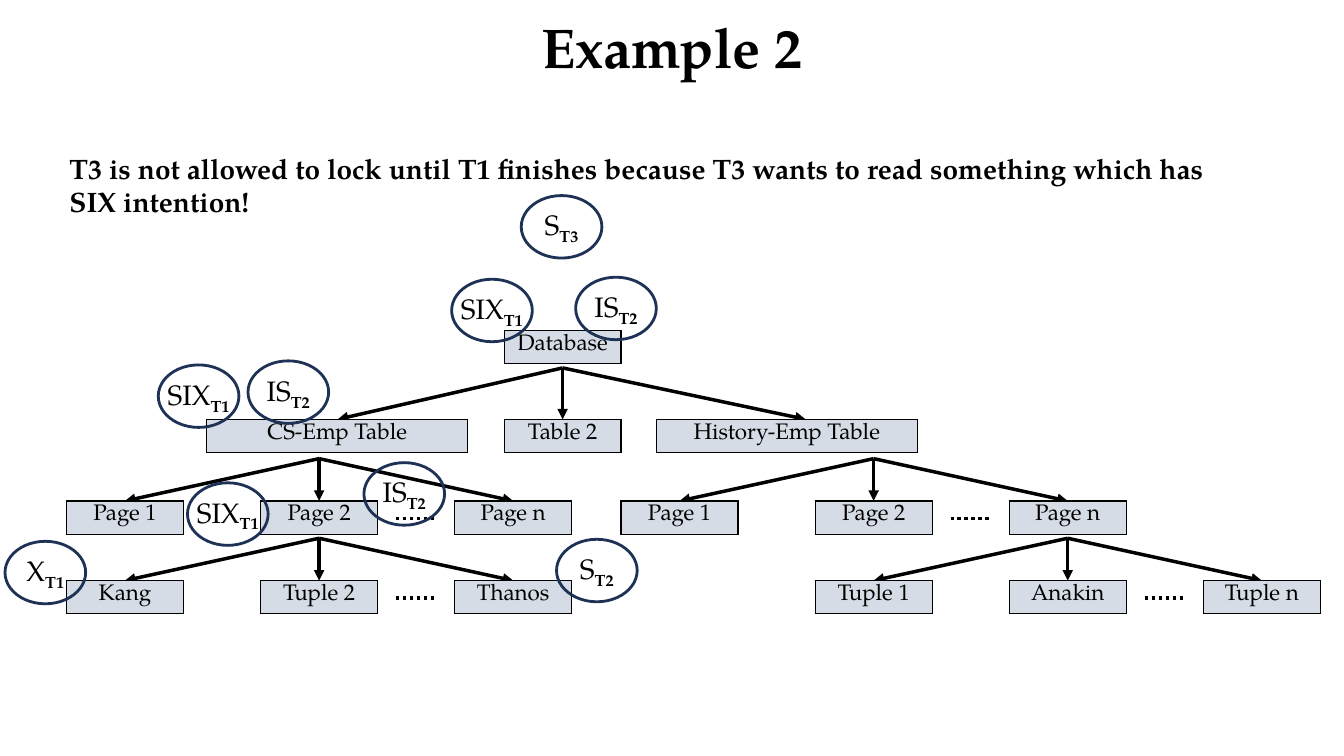
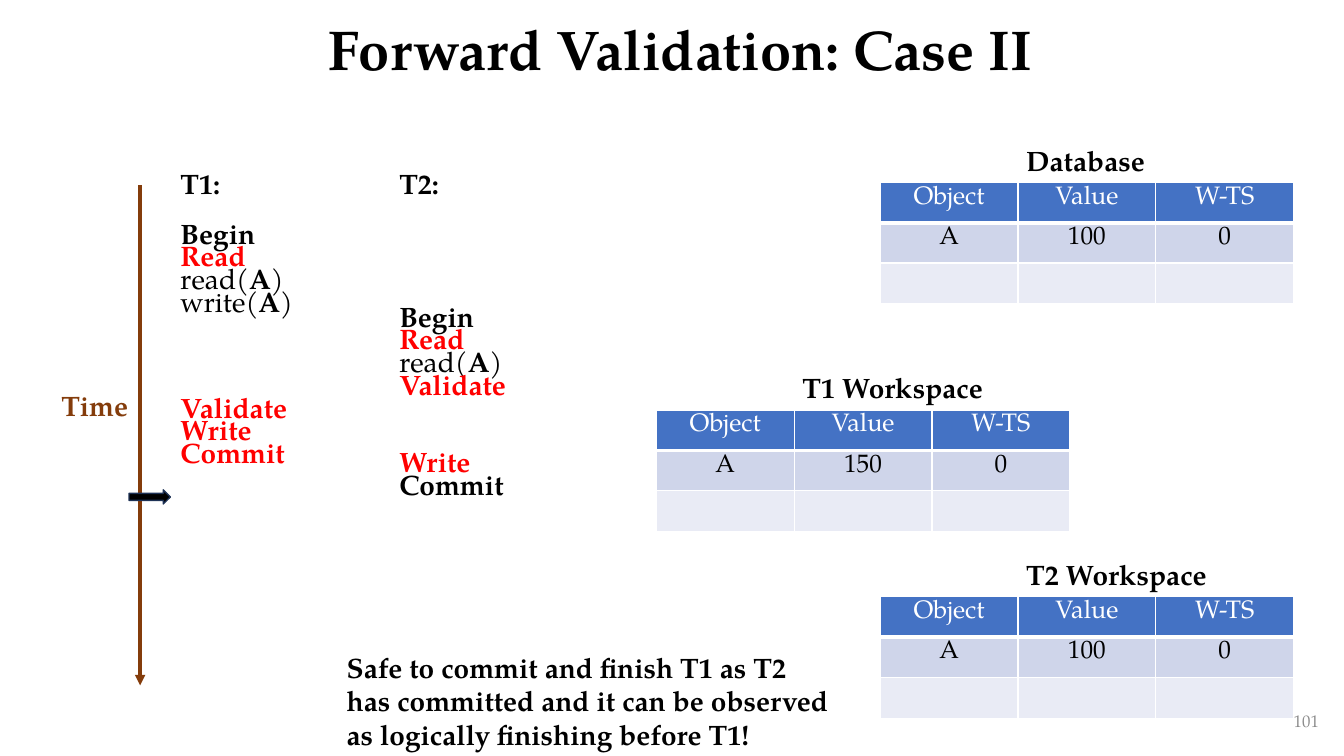
"""Two lecture slides: hierarchical locking and forward validation."""
from dataclasses import dataclass

from lxml import etree
from pptx import Presentation
from pptx.dml.color import RGBColor
from pptx.enum.dml import MSO_LINE
from pptx.enum.shapes import MSO_CONNECTOR, MSO_SHAPE
from pptx.enum.text import MSO_ANCHOR, PP_ALIGN
from pptx.oxml.ns import qn
from pptx.util import Inches, Pt

LEFT, CENTER, RIGHT = PP_ALIGN.LEFT, PP_ALIGN.CENTER, PP_ALIGN.RIGHT
TOP, MIDDLE = MSO_ANCHOR.TOP, MSO_ANCHOR.MIDDLE
STRAIGHT, DOTTED = MSO_CONNECTOR.STRAIGHT, MSO_LINE.ROUND_DOT
OVAL, RIGHT_ARROW = MSO_SHAPE.OVAL, MSO_SHAPE.RIGHT_ARROW


@dataclass(frozen=True)
class Theme:
    font: str = "TeX Gyre Pagella"
    ink: str = "000000"
    paper: str = "FFFFFF"
    node: str = "D6DCE5"
    lock: str = "1E3256"
    phase: str = "FF0000"
    time: str = "843C0B"
    header: str = "4472C4"
    band: str = "CFD5EA"
    light_band: str = "E9EBF5"
    footer: str = "8C8C8C"
    title_size: int = 40
    body_size: int = 20
    table_size: int = 18
    node_size: int = 16
    footer_size: int = 12
    line_width: float = 2.5
    table_spacing: float = 0.82
    schedule_pitch: float = 19.7


THEME = Theme()


def write(frame, text, size=THEME.body_size, color=THEME.ink, bold=False,
          align=LEFT, spacing=1.0, before=0, subscript=False):
    """Add a paragraph in which text between asterisks is bold."""
    first = frame.paragraphs[0]
    paragraph = frame.add_paragraph() if first.runs else first
    paragraph.alignment = align
    paragraph.line_spacing = spacing
    paragraph.space_before = Pt(before)
    for position, piece in enumerate(text.split("*")):
        if not piece:
            continue
        marked = position % 2 == 1
        run = paragraph.add_run()
        run.text = piece
        run.font.name = THEME.font
        run.font.size = Pt(size)
        run.font.bold = bold or marked
        run.font.color.rgb = RGBColor.from_string(color)
        if marked and subscript:
            run.font._element.set("baseline", "-25000")


def add_grid(slide, left, top, widths, height, rows, fills, inks, border, size):
    """Add a table whose fills and inks are given per row."""
    box = [round(n * CELL) for n in (left, top, sum(widths), height * len(rows))]
    table = slide.shapes.add_table(len(rows), len(widths), *box).table
    table.first_row = table.horz_banding = False
    for column, width in zip(table.columns, widths):
        column.width = round(width * CELL)
    for r, texts in enumerate(rows):
        table.rows[r].height = round(height * CELL)
        for c, text in enumerate(texts):
            cell = table.cell(r, c)
            if text:
                write(cell.text_frame, text, size=size, color=inks[r],
                      align=CENTER, spacing=THEME.table_spacing)
            if not fills:
                cell.fill.background()
                continue
            cell.fill.solid()
            cell.fill.fore_color.rgb = RGBColor.from_string(fills[r])
            under_header = {"lnT": r == 1, "lnB": r == 0 and len(rows) > 1}
            for order, side in enumerate(("lnL", "lnR", "lnT", "lnB")):
                points = 3 if under_header.get(side) else 1
                edge = etree.Element(qn(f"a:{side}"), w=str(Pt(points)))
                paint = etree.SubElement(edge, qn("a:solidFill"))
                etree.SubElement(paint, qn("a:srgbClr"), val=border)
                cell._tc.get_or_add_tcPr().insert(order, edge)
    return table


deck = Presentation()
deck.slide_width, deck.slide_height = Inches(13.33), Inches(7.5)
CELL = deck.slide_height / 90
locking, validation = [deck.slides.add_slide(deck.slide_layouts[6]) for _ in range(2)]

NODE_WIDTH, NODE_HEIGHT, TABLE_WIDTH = 13.92, 3.96, 31.08
NODE_PITCH, FAN_DROP, DOTS_HALF = 23.1, 5.04, 2.4
DATABASE_LEVEL, TABLE_LEVEL, PAGE_LEVEL, TUPLE_LEVEL = 39.36, 49.92, 59.64, 69.12
LEFT_BRANCH, DATABASE_LEFT, RIGHT_BRANCH = 7.92, 60, 73.92

nodes = [
    (DATABASE_LEFT, DATABASE_LEVEL, NODE_WIDTH, "Database"),
    (24.6, TABLE_LEVEL, TABLE_WIDTH, "CS-Emp Table"),
    (DATABASE_LEFT, TABLE_LEVEL, NODE_WIDTH, "Table 2"),
    (78.12, TABLE_LEVEL, TABLE_WIDTH, "History-Emp Table"),
]
root = DATABASE_LEFT + NODE_WIDTH / 2
lines = [(locking, (root, 43.8), (x, TABLE_LEVEL), THEME.ink, True)
         for x in (40.2, root, 95.88)]
lines.append((validation, (16.68, 22.08), (16.68, 81.6), THEME.time, True))

branches = [
    (LEFT_BRANCH, PAGE_LEVEL, ("Page 1", "Page 2", "Page n")),
    (LEFT_BRANCH, TUPLE_LEVEL, ("Kang", "Tuple 2", "Thanos")),
    (RIGHT_BRANCH, PAGE_LEVEL, ("Page 1", "Page 2", "Page n")),
    (RIGHT_BRANCH + NODE_PITCH, TUPLE_LEVEL, ("Tuple 1", "Anakin", "Tuple n")),
]
for left, level, labels in branches:
    parent = left + NODE_PITCH + NODE_WIDTH / 2
    for column, label in enumerate(labels):
        x = left + column * NODE_PITCH
        nodes.append((x, level, NODE_WIDTH, label))
        lines.append((locking, (parent, level - FAN_DROP),
                      (x + NODE_WIDTH / 2, level), THEME.ink, True))
    gap, y = parent + NODE_PITCH / 2, level + 2.1
    lines.append((locking, (gap - DOTS_HALF, y), (gap + DOTS_HALF, y), THEME.ink, False))

for slide, start, end, color, arrow in lines:
    ends = [round(n * CELL) for n in start + end]
    link = slide.shapes.add_connector(STRAIGHT, *ends)
    link.line.color.rgb = RGBColor.from_string(color)
    link.line.width = Pt(THEME.line_width)
    if arrow:
        etree.SubElement(link.line._get_or_add_ln(), qn("a:tailEnd"), type="triangle")
    else:
        link.line.dash_style = DOTTED
    etree.SubElement(link._element.spPr, qn("a:effectLst"))

for left, level, width, label in nodes:
    add_grid(locking, left, level, [width], NODE_HEIGHT, [[label]], [THEME.node],
             [THEME.ink], THEME.ink, THEME.node_size)

schedules = [
    [("T1:", 0), ("Begin", 1), ("Read", 0), ("read(*A*)", 0), ("write(*A*)", 0),
     ("Validate", 3), ("Write", 0), ("Commit", 0)],
    [("T2:", 0), ("Begin", 4), ("Read", 0), ("read(*A*)", 0), ("Validate", 0),
     ("Write", 2), ("Commit", 0)],
]
phases = [("Read", "Validate", "Write", "Commit"), ("Read", "Validate", "Write")]
timeline = add_grid(validation, 20.28, 20.4, [26.04, 24.6], 44, [["", ""]], None,
                    None, None, THEME.body_size)
for column, steps in enumerate(schedules):
    for step, skipped in steps:
        write(timeline.cell(0, column).text_frame, step, bold="*" not in step,
              color=THEME.phase if step in phases[column] else THEME.ink,
              spacing=THEME.table_spacing, before=skipped * THEME.schedule_pitch)

heading = dict(size=THEME.title_size, bold=True, align=CENTER, spacing=0.9)
strong = dict(bold=True)
captions = [
    (locking, (11, 0, 138, 11.9), MIDDLE, "Example 2", heading),
    (validation, (12, 0.24, 138, 11.9), MIDDLE, "Forward Validation: Case II", heading),
    (locking, (7.08, 17.4, 141.84, 9.24), TOP,
     "T3 is not allowed to lock until T1 finishes because T3 wants to read "
     "something which has SIX intention!", strong),
    (validation, (6.12, 45.72, 10.68, 5.28), TOP, "Time",
     dict(bold=True, color=THEME.time)),
    (validation, (40.08, 76.8, 60.36, 13.32), TOP,
     "Safe to commit and finish T1 as T2 has committed and it can be observed "
     "as logically finishing before T1!", strong),
    (validation, (122.16, 83.4, 36, 4.8), MIDDLE, "101",
     dict(size=THEME.footer_size, color=THEME.footer, align=RIGHT)),
]

workspaces = [
    ("Database", 104.76, 21.72, "100"),
    ("T1 Workspace", 78.12, 48.84, "150"),
    ("T2 Workspace", 104.76, 71.04, "100"),
]
for name, left, top, value in workspaces:
    add_grid(validation, left, top, [16.4] * 3, 4.8,
             [["Object", "Value", "W-TS"], ["A", value, "0"], ["", "", ""]],
             [THEME.header, THEME.band, THEME.light_band],
             [THEME.paper, THEME.ink, THEME.ink], THEME.paper, THEME.table_size)
    captions.append((validation, (left + 16.2, top - 5.28, 26.4, 5.28), TOP, name, strong))

for slide, box, anchor, text, style in captions:
    frame = slide.shapes.add_textbox(*[round(n * CELL) for n in box]).text_frame
    frame.word_wrap = True
    frame.vertical_anchor = anchor
    write(frame, text, **style)

locks = [
    ("SIX*T1", 53.76, 33.24), ("SIX*T1", 18.84, 43.44), ("SIX*T1", 22.32, 57.48),
    ("X*T1", 0.6, 64.44), ("IS*T2", 68.52, 33), ("IS*T2", 29.52, 42.96),
    ("IS*T2", 43.32, 55.08), ("S*T2", 66.24, 64.2), ("S*T3", 62.04, 23.28),
]
markers = [(locking, OVAL, (x, y, 9.6, 7.44), 2, mode) for mode, x, y in locks]
markers.append((validation, RIGHT_ARROW, (15.36, 58.32, 4.92, 1.68), 1, ""))
for slide, outline, box, width, mode in markers:
    marker = slide.shapes.add_shape(outline, *[round(n * CELL) for n in box])
    marker.shadow.inherit = False
    marker.line.color.rgb = RGBColor.from_string(THEME.lock)
    marker.line.width = Pt(width)
    if mode:
        marker.fill.background()
        marker.text_frame.word_wrap = False
        marker.text_frame.vertical_anchor = MIDDLE
        write(marker.text_frame, mode, align=CENTER, subscript=True)
    else:
        marker.fill.solid()
        marker.fill.fore_color.rgb = RGBColor.from_string(THEME.ink)

deck.save("out.pptx")
